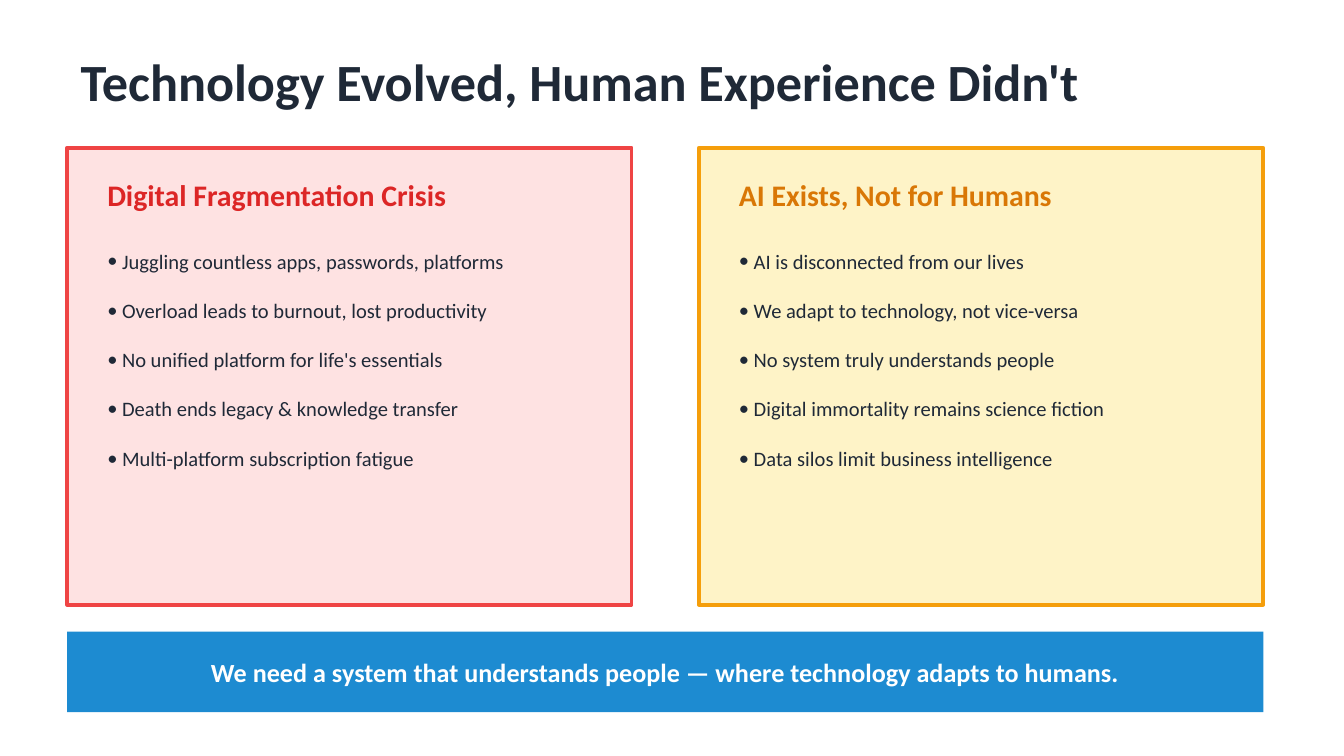
"""Build the slide contrasting technology's progress with human experience."""
from dataclasses import dataclass

from lxml import etree
from pptx import Presentation
from pptx.dml.color import RGBColor
from pptx.enum.shapes import MSO_SHAPE
from pptx.enum.text import MSO_ANCHOR, MSO_AUTO_SIZE, PP_ALIGN
from pptx.oxml.ns import qn
from pptx.util import Inches, Pt

RECTANGLE = MSO_SHAPE.RECTANGLE
TOP, MIDDLE = MSO_ANCHOR.TOP, MSO_ANCHOR.MIDDLE
LEFT, CENTER = PP_ALIGN.LEFT, PP_ALIGN.CENTER
NO_AUTOFIT = MSO_AUTO_SIZE.NONE
FONT = "Calibri"
DARK = "1F2937"
SLIDE_WIDTH = 10
SLIDE_HEIGHT = SLIDE_WIDTH * 9 / 16
MARGIN = 0.5
PANEL_TOP, PANEL_WIDTH, PANEL_HEIGHT, PANEL_GAP = 1.1, 4.2, 3.4, 0.5
PANEL_PADDING = 0.2
BULLET_INDENT = 0.11


@dataclass
class Panel:
    heading: str
    bullets: list[str]
    fill: str
    border: str
    heading_color: str


PANELS = [
    Panel(
        "Digital Fragmentation Crisis",
        [
            "Juggling countless apps, passwords, platforms",
            "Overload leads to burnout, lost productivity",
            "No unified platform for life's essentials",
            "Death ends legacy & knowledge transfer",
            "Multi-platform subscription fatigue",
        ],
        "FEE2E2", "EF4444", "DC2626",
    ),
    Panel(
        "AI Exists, Not for Humans",
        [
            "AI is disconnected from our lives",
            "We adapt to technology, not vice-versa",
            "No system truly understands people",
            "Digital immortality remains science fiction",
            "Data silos limit business intelligence",
        ],
        "FEF3C7", "F59E0B", "D97706",
    ),
]


def color(value: str) -> RGBColor:
    """Convert a hex string to a colour."""
    return RGBColor.from_string(value)


def write(shape, text: str, size: float, text_color: str, bold: bool = True,
          align=LEFT, anchor=MIDDLE) -> None:
    """Put text into a shape and format every paragraph."""
    frame = shape.text_frame
    frame.text = text
    frame.word_wrap = True
    frame.auto_size = NO_AUTOFIT
    frame.vertical_anchor = anchor
    for paragraph in frame.paragraphs:
        paragraph.alignment = align
        for run in paragraph.runs:
            run.font.name = FONT
            run.font.size = Pt(size)
            run.font.bold = bold
            run.font.color.rgb = color(text_color)


def add_text_box(slide, left: float, top: float, width: float, height: float):
    """Add an empty text box."""
    return slide.shapes.add_textbox(
        Inches(left), Inches(top), Inches(width), Inches(height))


def add_rectangle(slide, left: float, top: float, width: float, height: float,
                  fill: str, border: str | None = None):
    """Add a flat rectangle with an optional border."""
    shape = slide.shapes.add_shape(
        RECTANGLE, Inches(left), Inches(top), Inches(width), Inches(height))
    shape.shadow.inherit = False
    shape.fill.solid()
    shape.fill.fore_color.rgb = color(fill)
    if border:
        shape.line.color.rgb = color(border)
        shape.line.width = Pt(2)
    else:
        shape.line.fill.background()
    return shape


def add_bullets(shape) -> None:
    """Turn the paragraphs of a shape into a spaced bullet list."""
    for index, paragraph in enumerate(shape.text_frame.paragraphs):
        properties = paragraph._p.get_or_add_pPr()
        properties.set("marL", str(Inches(BULLET_INDENT)))
        properties.set("indent", str(-Inches(BULLET_INDENT)))
        etree.SubElement(properties, qn("a:buFont")).set("typeface", FONT)
        etree.SubElement(properties, qn("a:buChar")).set("char", "•")
        if index:
            paragraph.space_before = Pt(13.2)


def add_panel(slide, panel: Panel, left: float) -> None:
    """Draw one bordered panel with its heading and bullets."""
    add_rectangle(slide, left, PANEL_TOP, PANEL_WIDTH, PANEL_HEIGHT,
                  panel.fill, panel.border)
    text_left = left + PANEL_PADDING
    text_width = PANEL_WIDTH - PANEL_PADDING
    heading = add_text_box(slide, text_left, PANEL_TOP + 0.1, text_width, 0.5)
    write(heading, panel.heading, 16, panel.heading_color)
    body = add_text_box(slide, text_left, PANEL_TOP + 0.7, text_width, 2.5)
    write(body, "\n".join(panel.bullets), 11, DARK, bold=False, anchor=TOP)
    add_bullets(body)


def main() -> None:
    """Build and save the presentation."""
    presentation = Presentation()
    presentation.slide_width = Inches(SLIDE_WIDTH)
    presentation.slide_height = Inches(SLIDE_HEIGHT)
    slide = presentation.slides.add_slide(presentation.slide_layouts[5])

    title = slide.shapes.title
    title.left, title.top = Inches(MARGIN), Inches(0.3)
    title.width, title.height = Inches(9), Inches(0.6)
    write(title, "Technology Evolved, Human Experience Didn't", 28, DARK)

    for index, panel in enumerate(PANELS):
        add_panel(slide, panel, MARGIN + index * (PANEL_WIDTH + PANEL_GAP))

    banner = add_rectangle(slide, MARGIN, 4.7, 2 * PANEL_WIDTH + PANEL_GAP, 0.6,
                           "1D8BD1")
    write(banner, "We need a system that understands people — "
          "where technology adapts to humans.", 14, "FFFFFF", align=CENTER)

    presentation.save("out.pptx")


if __name__ == "__main__":
    main()
